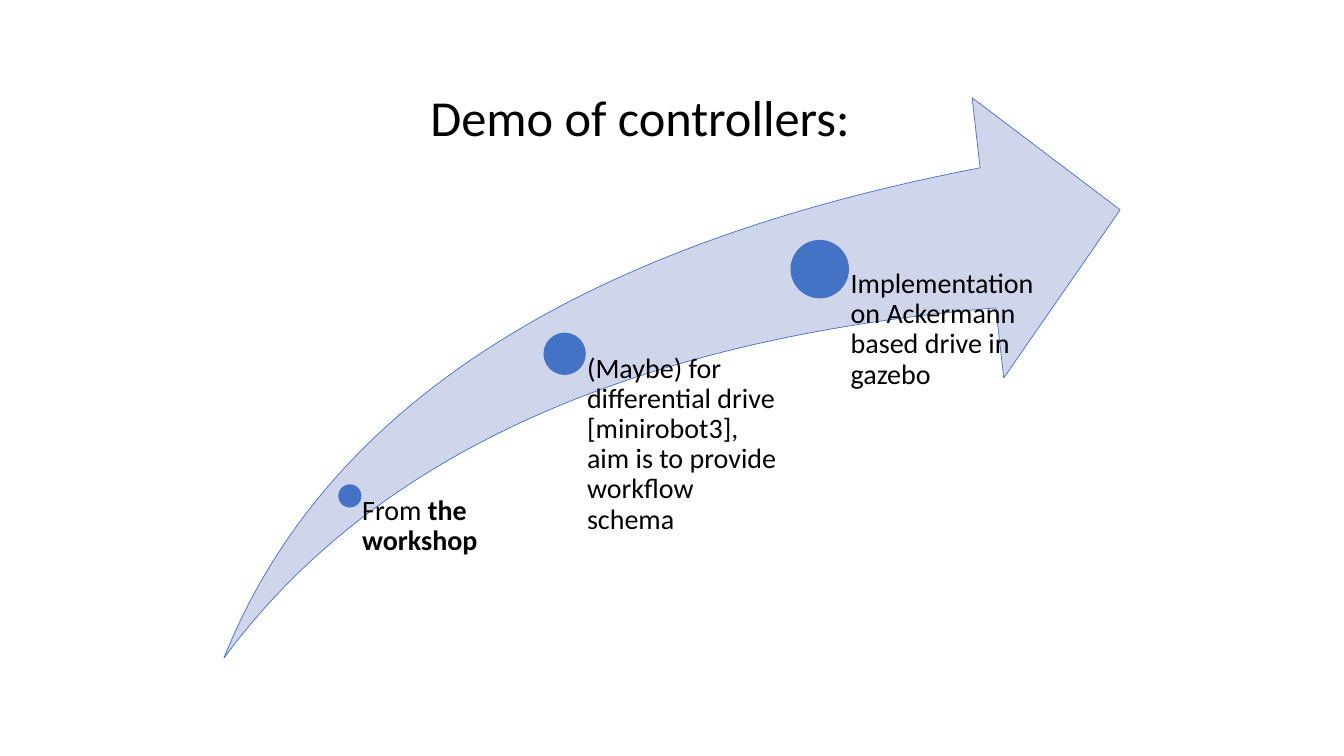
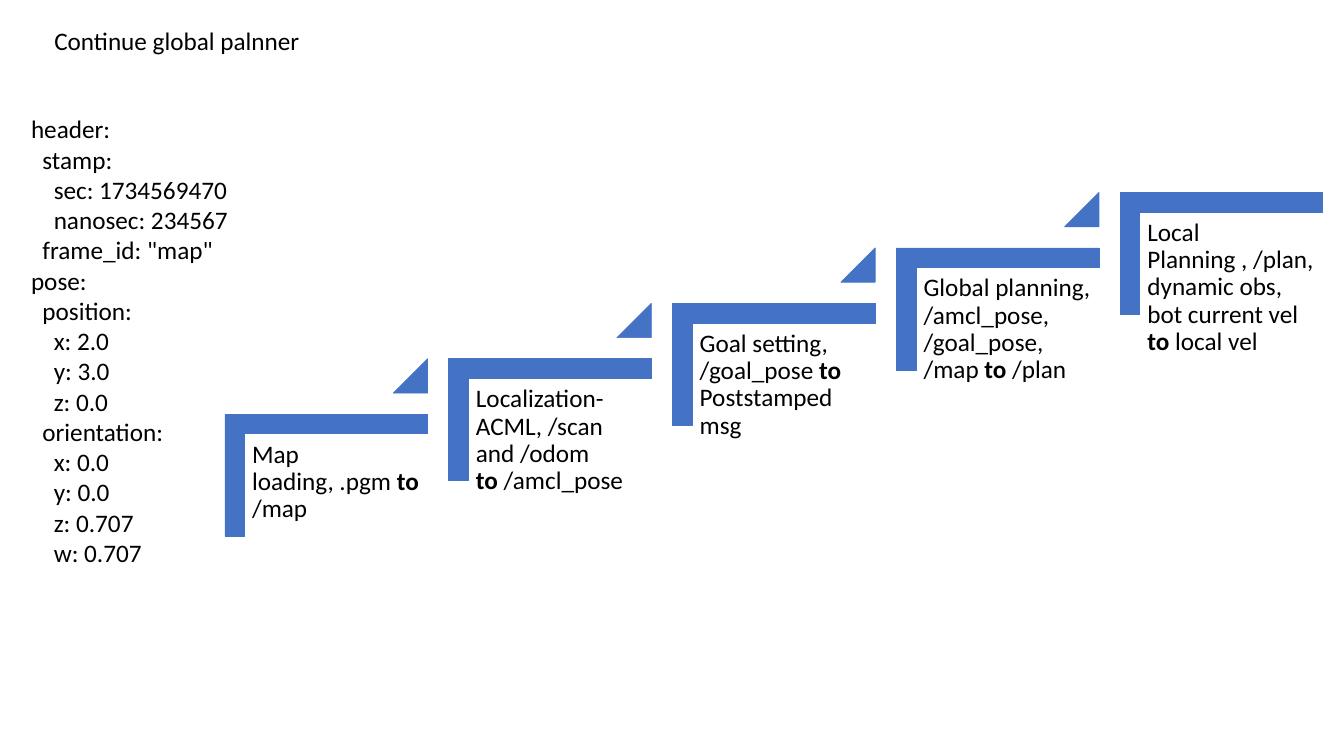
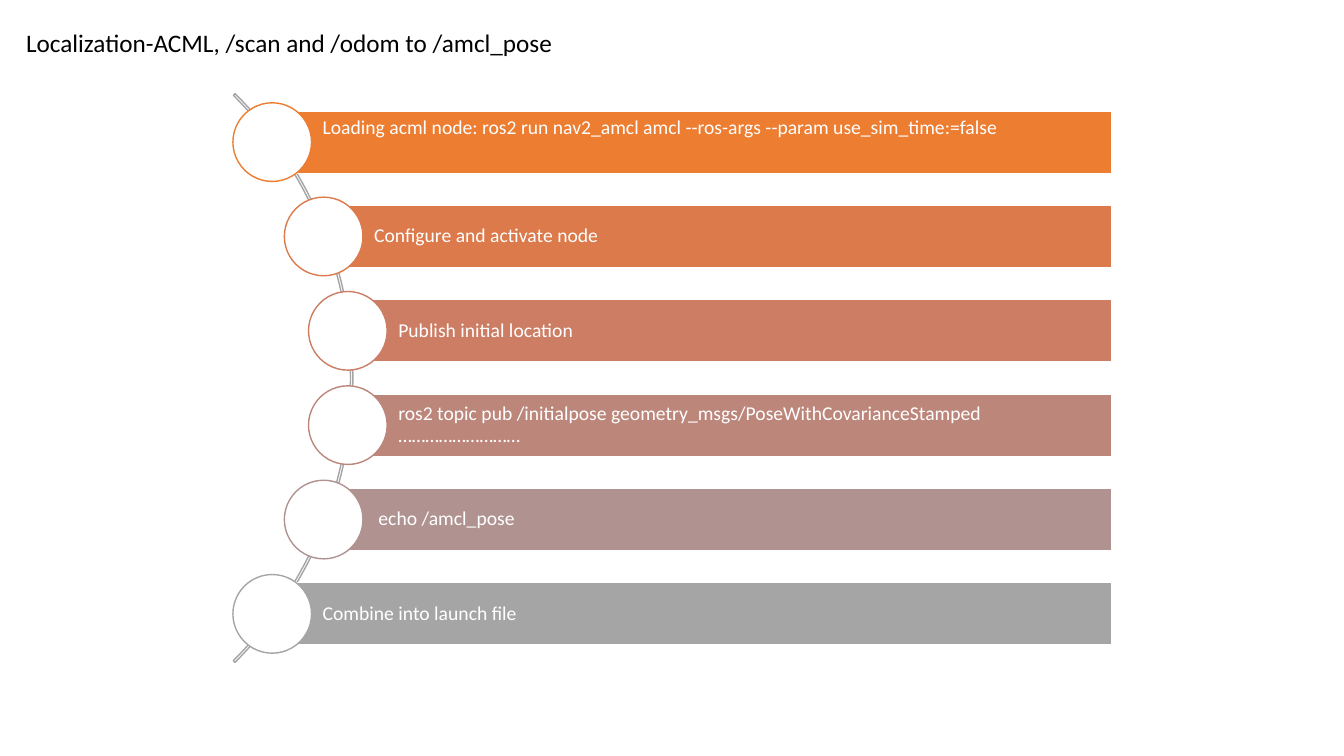
from dataclasses import dataclass
from typing import NamedTuple

from pptx import Presentation
from pptx.dml.color import RGBColor
from pptx.enum import shapes, text
from pptx.util import Inches, Pt

Kind = shapes.MSO_SHAPE
Box = tuple[float, float, float, float]


@dataclass(frozen=True)
class Theme:
    font: str = "Calibri"
    ink: str = "000000"
    white: str = "FFFFFF"
    blue: str = "4472C4"
    pale: str = "CFD5EA"
    gray: str = "A5A5A5"
    title: int = 36
    large: int = 20
    body: int = 18
    small: int = 14


class Stage(NamedTuple):
    x: float  # centre of the dot
    y: float
    size: float
    width: float
    label: str


class Bar(NamedTuple):
    left: float
    color: str
    label: str
    lift: float = 0


THEME = Theme()
TIE = "~"  # a space that does not break
BOLD = "*"  # turns bold on and off


# Shared drawing

def write(frame, words: str, *, size: int = THEME.body, color: str = THEME.ink,
          inset: Box = (0.1, 0.05, 0.1, 0.05), spacing: float | None = None,
          anchor=text.MSO_ANCHOR.TOP) -> None:
    """Fill a text frame, one paragraph a line."""
    frame.word_wrap = True
    frame.vertical_anchor = anchor
    (frame.margin_left, frame.margin_top,
     frame.margin_right, frame.margin_bottom) = map(Inches, inset)
    for i, line in enumerate(words.split("\n")):
        para = frame.add_paragraph() if i else frame.paragraphs[0]
        para.alignment = text.PP_ALIGN.LEFT
        if spacing:
            para.line_spacing = spacing
        for j, part in enumerate(line.replace(TIE, chr(160)).split(BOLD)):
            if part:
                run = para.add_run()
                run.text = part
                font = run.font
                font.name, font.size = THEME.font, Pt(size)
                font.color.rgb = RGBColor.from_string(color)
                font.bold = j % 2 == 1


def note(slide, box: Box, words: str, **style) -> None:
    """Add a text box."""
    write(slide.shapes.add_textbox(*map(Inches, box)).text_frame, words, **style)


def draw(slide, kind, box: Box, *, fill: str | None = None,
         line: str | None = None, weight: float = 1, turn: float = 0,
         adjust: tuple[float, ...] = ()):
    """Add a preset shape."""
    shape = slide.shapes.add_shape(kind, *map(Inches, box))
    shape.shadow.inherit = False
    shape.rotation = turn
    for i, value in enumerate(adjust):
        shape.adjustments[i] = value
    if fill:
        shape.fill.solid()
        shape.fill.fore_color.rgb = RGBColor.from_string(fill)
    else:
        shape.fill.background()
    if line:
        shape.line.color.rgb = RGBColor.from_string(line)
        shape.line.width = Pt(weight)
    else:
        shape.line.fill.background()
    return shape


# Slide 1: stages along a rising arrow

STAGES = [
    Stage(3.47, 4.92, 0.23, 2.07, "From *the workshop*"),
    Stage(5.6, 3.51, 0.42, 2.13, "(Maybe) for differential drive [minirobot3], "
          "aim is to provide workflow schema"),
    Stage(8.13, 2.67, 0.58, 2.13,
          "Implementation on Ackermann based drive in gazebo"),
]


def demo(slide) -> None:
    note(slide, (4.17, 0.81, 4.4, 0.71), "Demo of controllers:", size=THEME.title)
    top, high = 0.97, 5.56
    draw(slide, Kind.SWOOSH_ARROW, (2.22, top, 8.89, high), fill=THEME.pale,
         line=THEME.blue, weight=0.5, adjust=(0.25, 0.25))
    for x, y, size, width, label in STAGES:
        half = size / 2
        draw(slide, Kind.OVAL, (x - half, y - half, size, size), fill=THEME.blue)
        note(slide, (x, y, width, top + high - y), label, size=THEME.large,
             inset=(0.53 * size, 0, 0, 0), spacing=0.9)


# Slide 2: staircase of planning steps

STEPS = [
    "Map loading,~.pgm~*to* /map",
    "Localization-ACML, /scan and~/odom *to*~/amcl_pose",
    "Goal setting, /goal_pose *to* Poststamped msg",
    "Global planning, /amcl_pose, /goal_pose, /map~*to*~/plan",
    "Local Planning~,~/plan, dynamic obs, bot current vel *to* local vel",
]
POSE = """header:
  stamp:
    sec: 1734569470
    nanosec: 234567
  frame_id: "map"
pose:
  position:
    x: 2.0
    y: 3.0
    z: 0.0
  orientation:
    x: 0.0
    y: 0.0
    z: 0.707
    w: 0.707"""


def stairs(slide) -> None:
    note(slide, (0.44, 0.2, 2.67, 0.4), "Continue global palnner")
    look = dict(fill=THEME.blue, line=THEME.blue, weight=0.5)
    for i, label in enumerate(STEPS):
        x, y = 2.43 + 2.22 * i, 4.31 - 0.55 * i
        draw(slide, Kind.CORNER, (x + 0.2, y - 0.6, 1.21, 2.01), turn=90,
             adjust=(0.16, 0.16), **look)
        note(slide, (x, y, 1.81, 1.59), label, inset=(0.07,) * 4, spacing=0.9)
        if i < len(STEPS) - 1:
            draw(slide, Kind.ISOSCELES_TRIANGLE, (x + 1.47, y - 0.75, 0.34, 0.34),
                 adjust=(1,), **look)
    note(slide, (0.21, 1.08, 6.67, 4.64), POSE)


# Slide 3: bars along an arc

BARS = [
    Bar(2.7, "ED7D31", "Loading acml node: ros2 run nav2_amcl amcl "
        "--ros-args --param use_sim_time:=false", lift=0.28),
    Bar(3.21, "DC7A4B", "Configure and activate node"),
    Bar(3.45, "CC7D64", "Publish initial location"),
    Bar(3.45, "BD867B", "ros2 topic pub /initialpose "
        "geometry_msgs/PoseWithCovarianceStamped ………………………"),
    Bar(3.21, "B09391", " echo /amcl_pose"),
    Bar(2.7, THEME.gray, "Combine into launch file"),
]


def locate(slide) -> None:
    note(slide, (0.16, 0.22, 6.67, 0.4),
         "Localization-ACML, /scan and /odom to /amcl_pose")
    # Adjustments count angles in units of 5/3 degree: 315 to 45 degrees
    draw(slide, Kind.BLOCK_ARC, (-4.48, -0.24, 7.98, 7.98), line=THEME.gray,
         adjust=(189, 27, 0.003))
    right, high, ring = 11.03, 0.62, 0.78
    first, last = 1.1, 5.78
    step = (last - first) / (len(BARS) - 1)
    for i, (left, color, label, lift) in enumerate(BARS):
        top = first + step * i
        bar = draw(slide, Kind.RECTANGLE, (left, top, right - left, high),
                   fill=color, line=THEME.white)
        write(bar.text_frame, label, size=THEME.small, color=THEME.white,
              inset=(0.5, 0.04, 0.04, 0.04 + lift), spacing=0.9,
              anchor=text.MSO_ANCHOR.MIDDLE)
        draw(slide, Kind.OVAL,
             (left - ring / 2, top + (high - ring) / 2, ring, ring),
             fill=THEME.white, line=color)


def main() -> None:
    deck = Presentation()
    deck.slide_width, deck.slide_height = Inches(13.33), Inches(7.5)
    for build in (demo, stairs, locate):
        build(deck.slides.add_slide(deck.slide_layouts[6]))
    deck.save("out.pptx")


if __name__ == "__main__":
    main()
